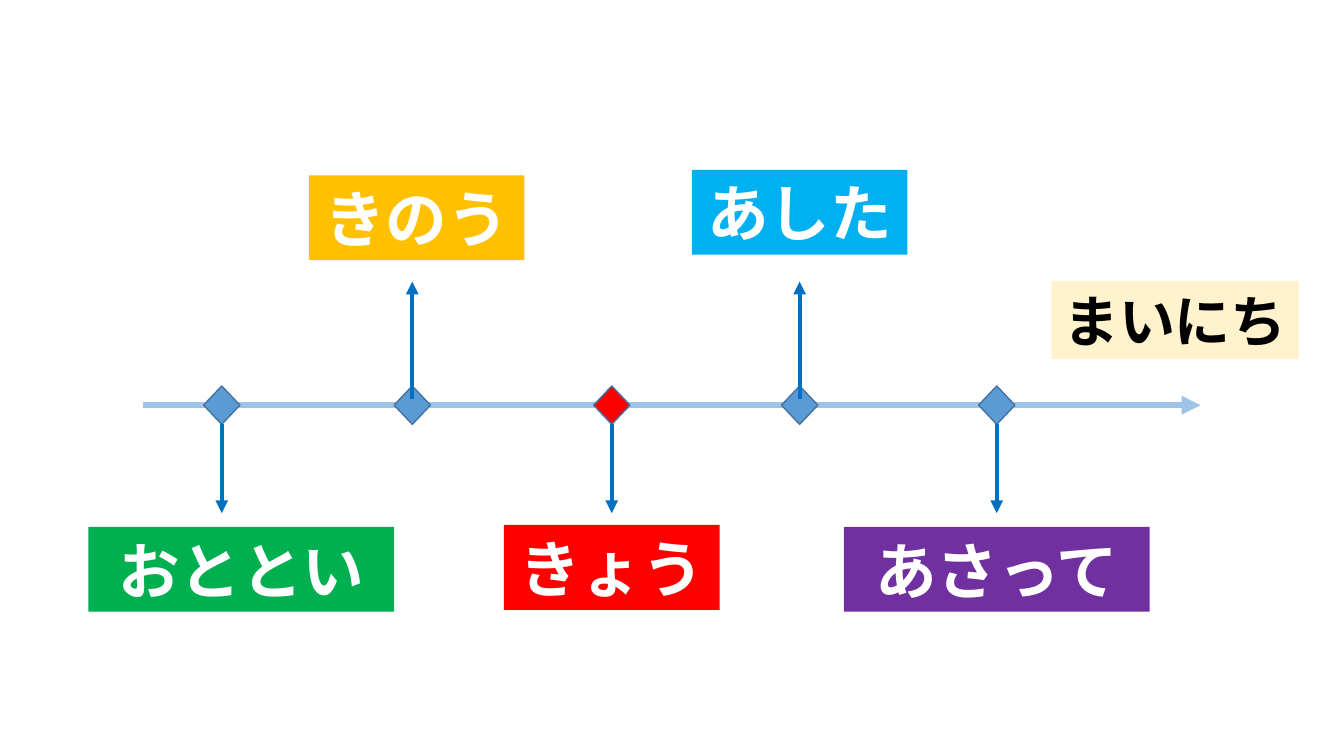
from dataclasses import dataclass

from pptx import Presentation
from pptx.dml.color import RGBColor
from pptx.enum.shapes import MSO_CONNECTOR as Connector, MSO_SHAPE as Preset
from pptx.enum.text import MSO_ANCHOR as Anchor, PP_ALIGN as Align
from pptx.oxml.ns import qn
from pptx.shapes.autoshape import Shape
from pptx.shapes.connector import Connector as ConnectorShape
from pptx.slide import Slide
from pptx.util import Pt
from lxml.etree import SubElement

COLORS = {
    "axis": "9DC3E6",
    "arrow": "0070C0",
    "marker": "5B9BD5",
    "outline": "43739E",
    "red": "FF0000",
    "green": "00B050",
    "gold": "FFC000",
    "sky": "00B0F0",
    "purple": "7030A0",
    "cream": "FFF2CC",
    "white": "FFFFFF",
    "black": "000000",
}
JAPANESE_FONT = "Noto Sans CJK JP"
AXIS_Y = 289.4
MARKER_WIDTH, MARKER_HEIGHT = 26, 27.4
LABEL_HEIGHT = 60.6


@dataclass(frozen=True)
class Day:
    """A day on the timeline, with its marker and label."""

    text: str
    marker_x: float
    label_x: float
    label_top: float
    label_width: float
    color: str
    above: bool = False
    marker_color: str = "marker"


DAYS = [
    Day("おととい", 158.4, 172.4, 376.4, 218.4, "green"),
    Day("きのう", 294.5, 297.6, 125.3, 154, "gold", above=True),
    Day("きょう", 437, 437, 375, 154, "red", marker_color="red"),
    Day("あした", 571.2, 571.2, 121.4, 154, "sky", above=True),
    Day("あさって", 712, 712, 376.4, 218.4, "purple"),
]


def color(name: str) -> RGBColor:
    """Return the named colour."""
    return RGBColor.from_string(COLORS[name])


def add_block(slide: Slide, preset: Preset, left: float, top: float,
              width: float, height: float, fill: str) -> Shape:
    """Add a filled shape with neither shadow nor outline."""
    shape = slide.shapes.add_shape(preset, Pt(left), Pt(top), Pt(width), Pt(height))
    shape.shadow.inherit = False
    shape.fill.solid()
    shape.fill.fore_color.rgb = color(fill)
    shape.line.fill.background()
    return shape


def write_text(shape: Shape, text: str, *, size: float = 44,
               font_name: str = JAPANESE_FONT, font_color: str = "white") -> None:
    """Write one bold centred line in a shape."""
    frame = shape.text_frame
    frame.word_wrap = False
    frame.vertical_anchor = Anchor.MIDDLE
    frame.margin_top = frame.margin_bottom = Pt(0)
    paragraph = frame.paragraphs[0]
    paragraph.alignment = Align.CENTER
    run = paragraph.add_run()
    run.text = text
    run.font.size = Pt(size)
    run.font.bold = True
    run.font.color.rgb = color(font_color)
    run.font.name = font_name
    SubElement(run.font._element, qn("a:ea"), typeface=font_name)


def add_arrow(slide: Slide, start: tuple[float, float], end: tuple[float, float],
              line_color: str, width: float) -> ConnectorShape:
    """Add a straight arrow between two points."""
    arrow = slide.shapes.add_connector(
        Connector.STRAIGHT, *(Pt(value) for value in (*start, *end)))
    arrow.line.color.rgb = color(line_color)
    arrow.line.width = Pt(width)
    SubElement(arrow.line._get_or_add_ln(), qn("a:tailEnd"), type="triangle")
    SubElement(arrow._element.spPr, qn("a:effectLst"))
    return arrow


def add_day(slide: Slide, day: Day) -> None:
    """Add the marker, arrow and label of a day."""
    marker = add_block(slide, Preset.DIAMOND, day.marker_x - MARKER_WIDTH / 2,
                       AXIS_Y - MARKER_HEIGHT / 2, MARKER_WIDTH, MARKER_HEIGHT,
                       day.marker_color)
    marker.line.color.rgb = color("outline")
    marker.line.width = Pt(1)
    start_y, end_y = (285, 201.2) if day.above else (AXIS_Y + MARKER_HEIGHT / 2, 366.5)
    arrow = add_arrow(slide, (day.marker_x, start_y), (day.marker_x, end_y), "arrow", 3)
    if not day.above:
        arrow.begin_connect(marker, 2)
    label = add_block(slide, Preset.RECTANGLE, day.label_x - day.label_width / 2,
                      day.label_top, day.label_width, LABEL_HEIGHT, day.color)
    write_text(label, day.text)


def main() -> None:
    """Build the timeline slide and save it."""
    presentation = Presentation()
    presentation.slide_width, presentation.slide_height = Pt(960), Pt(540)
    slide = presentation.slides.add_slide(presentation.slide_layouts[6])
    add_arrow(slide, (102.5, AXIS_Y), (857.5, AXIS_Y), "axis", 4.5)
    for day in DAYS:
        add_day(slide, day)
    every_day = add_block(slide, Preset.RECTANGLE, 751, 200.7, 176.6, 55.7, "cream")
    write_text(every_day, "まいにち", size=40, font_name="Calibri", font_color="black")
    presentation.save("out.pptx")


if __name__ == "__main__":
    main()
